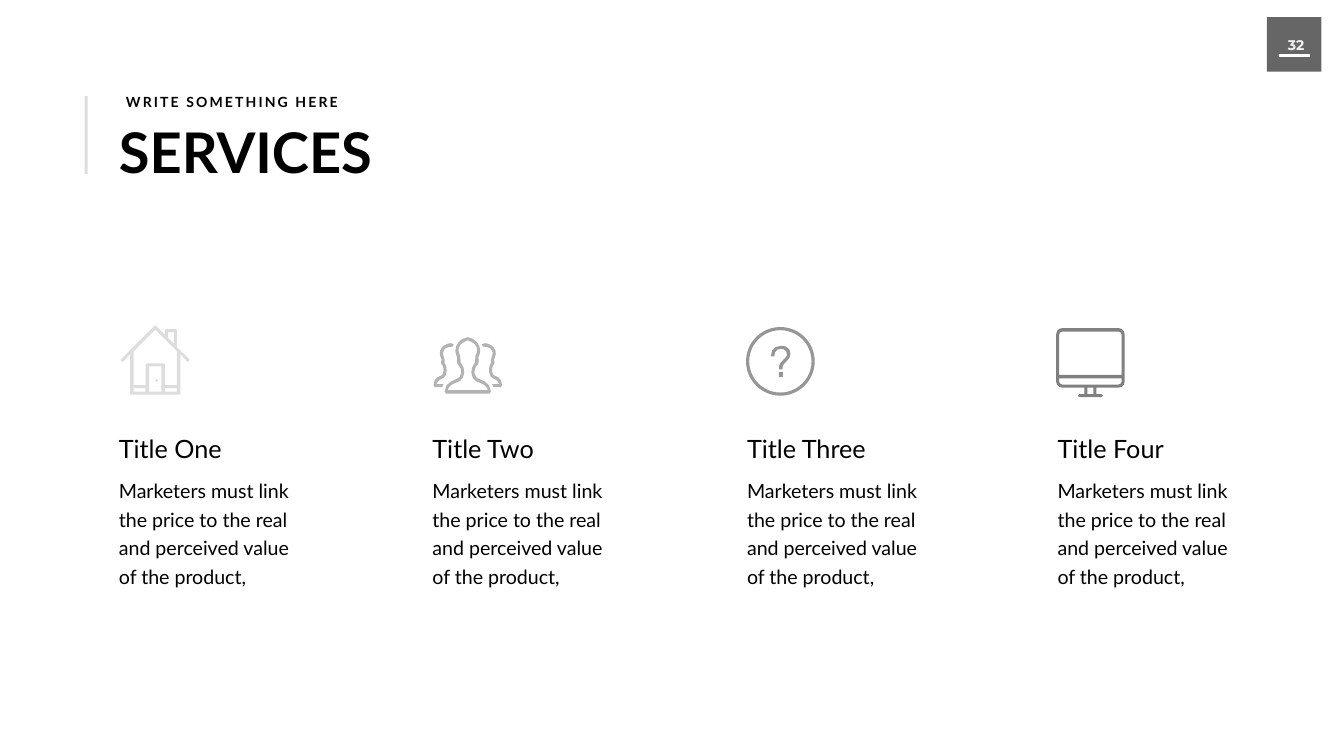
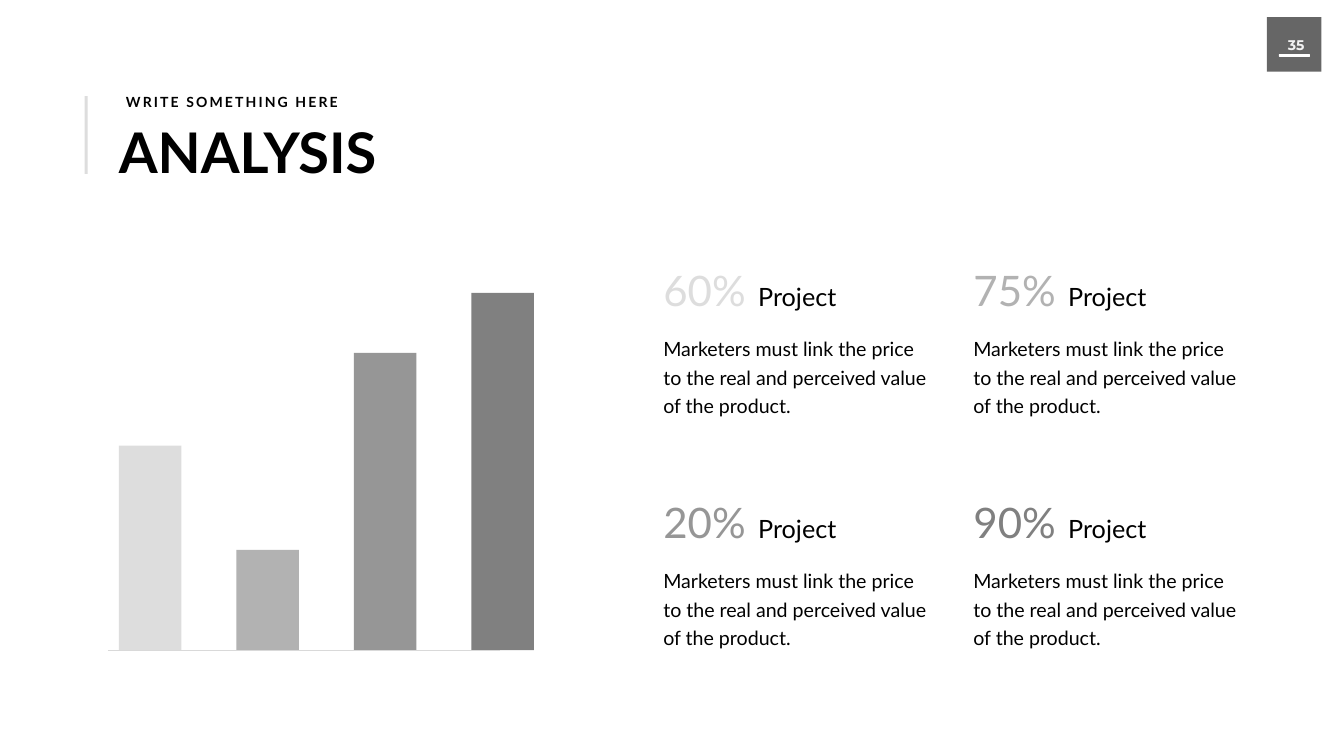
from lxml import etree
from pptx import Presentation
from pptx.dml.color import RGBColor
from pptx.enum.shapes import MSO_CONNECTOR as Connector, MSO_SHAPE as Shape
from pptx.enum.text import PP_ALIGN as Align
from pptx.oxml.ns import qn
from pptx.util import Inches, Pt

BLACK = RGBColor(0x00, 0x00, 0x00)
WHITE = RGBColor(0xFF, 0xFF, 0xFF)
OFF_WHITE = RGBColor(0xF2, 0xF2, 0xF2)
AXIS_GRAY = RGBColor(0xD9, 0xD9, 0xD9)
# Four grays, from light to dark
GRAYS = [RGBColor(tone, tone, tone) for tone in (0xDD, 0xB2, 0x96, 0x80)]


# Outline helpers: icon units are hundredths of an inch
def flatten(steps):
    """Turn line ends (x, y) and cubic curves (six numbers) into points."""
    points = []
    for step in steps:
        if len(step) == 2:
            points.append(step)
            continue
        (ax, ay), (bx, by, cx, cy, dx, dy) = points[-1], step
        span = max(abs(dx - ax), abs(dy - ay))
        pieces = 1 if span < 5 else 2 if span < 10 else 3
        for piece in range(1, pieces + 1):
            t = piece / pieces
            u = 1 - t
            weights = (u ** 3, 3 * u * u * t, 3 * u * t * t, t ** 3)
            points.append((
                sum(w * x for w, x in zip(weights, (ax, bx, cx, dx))),
                sum(w * y for w, y in zip(weights, (ay, by, cy, dy)))))
    return points


def box(left, top, right, bottom):
    return [(left, top), (right, top), (right, bottom), (left, bottom)]


def mirror(points, width=136):
    return [(width - x, y) for x, y in reversed(points)]


# Icons
HOUSE = [
    [(135, 66), (111, 43), (111, 9), (109, 7), (89, 7), (87, 9), (87, 18),
     (70, 1), (68, 0), (66, 1), (1, 66), (0, 69), (3, 72), (5, 71), (18, 57),
     (18, 135), (20, 137), (116, 137), (118, 135), (118, 57), (131, 71),
     (133, 72), (136, 69)],
    [(111, 118), (87, 118), (87, 77), (85, 75), (51, 75), (49, 77),
     (49, 118), (25, 118), (25, 51), (68, 8), (111, 51)],
    box(87, 124, 111, 131),
    box(56, 81, 80, 131),
    box(25, 124, 49, 131),
    [(93, 13), (105, 13), (105, 36), (93, 24)],
    [(71, 106), (74, 109), (71, 112), (68, 109)],
]

person_edge = flatten([
    (68, 0), (59, 3), (53, 6, 49, 9, 45, 18), (41, 27, 45, 36, 47, 40),
    (45, 50, 48, 54, 48, 54), (50, 56, 55, 60, 55, 70),
    (55, 82, 43, 84, 43, 84), (36, 87, 22, 92, 22, 108), (25, 112)])
person_inside = flatten([
    (28, 105), (30, 97, 37, 93, 45, 90), (51, 89, 61, 83, 61, 70),
    (61, 59, 56, 54, 54, 51), (53, 41), (53, 37), (51, 34, 48, 26, 50, 21),
    (54, 13, 56, 11, 62, 9), (68, 6)])
neighbour = flatten([
    (15, 83), (19, 82, 26, 78, 26, 67), (26, 57, 23, 53, 22, 51), (22, 45),
    (21, 41), (20, 38, 18, 33, 19, 29), (22, 22, 23, 22, 26, 21),
    (28, 20, 31, 19, 34, 19), (38, 19), (40, 14), (34, 12),
    (30, 12, 25, 14, 24, 15), (19, 17, 17, 19, 13, 27),
    (11, 33, 14, 40, 16, 44), (14, 51, 16, 54, 16, 54),
    (18, 56, 20, 59, 20, 67), (20, 76, 13, 77, 13, 77),
    (7, 79, 0, 84, 0, 96), (3, 99), (17, 99), (20, 93), (6, 93),
    (7, 88, 11, 85, 15, 83)])
PEOPLE = [
    person_edge + mirror(person_edge),
    person_inside + mirror(person_inside),
    neighbour,
    mirror(neighbour),
]

QUESTION = [
    box(65, 89, 73, 99),
    flatten([
        (49, 58), (49, 45, 57, 37, 70, 37), (81, 37, 88, 43, 88, 53),
        (88, 60, 84, 64, 78, 70), (73, 75, 72, 77, 72, 84), (65, 84),
        (65, 75, 67, 71, 73, 66), (79, 60, 81, 58, 81, 54),
        (81, 47, 76, 43, 69, 43), (60, 43, 56, 49, 56, 58)]),
]

MONITOR = [
    flatten([
        (124, 0), (12, 0), (5, 0, 0, 6, 0, 13), (0, 106),
        (0, 113, 5, 118, 12, 118), (56, 118), (56, 131), (46, 131),
        (43, 134), (46, 137), (90, 137), (93, 134), (90, 131), (80, 131),
        (80, 118), (124, 118), (131, 118, 136, 113, 136, 106), (136, 13),
        (136, 6, 131, 0, 124, 0)]),
    flatten([
        (130, 93), (6, 93), (6, 13), (6, 9, 9, 7, 12, 7), (124, 7),
        (127, 7, 130, 9, 130, 13)]),
    flatten([
        (130, 106), (130, 109, 127, 112, 124, 112), (12, 112),
        (9, 112, 6, 109, 6, 106), (6, 100), (130, 100)]),
    box(62, 118, 74, 131),
]


class Deck:
    """Holds the style and the slide being drawn."""

    def __init__(self):
        self.prs = Presentation()
        self.prs.slide_width = Inches(26.66)
        self.prs.slide_height = Inches(15)
        self.shapes = None

    def start_slide(self, page, title, title_width):
        self.shapes = self.prs.slides.add_slide(self.prs.slide_layouts[6]).shapes
        # Page number badge
        badge = self.rect(25.13, 0.34, 1.08, 1.08, BLACK)
        tint = badge.fill._xPr.find(".//" + qn("a:srgbClr"))
        etree.SubElement(tint, qn("a:alpha"), val="60000")
        self.text(25.28, 0.67, 0.86, 0.44, page, 20, OFF_WHITE, bold=True,
                  font="Montserrat", align=Align.CENTER, wrap=False)
        rule = self.rect(25.37, 1.08, 0.6, 0.04, WHITE)
        rule.line.color.rgb = WHITE
        rule.line.width = Pt(1)
        # Title block
        self.text(2.26, 2.29, title_width, 1.45, title, 80, bold=True, wrap=False)
        self.text(2.36, 1.81, 4.48, 0.44, "WRITE SOMETHING HERE", 20, bold=True,
                  align=Align.CENTER, wrap=False, tracking=3)
        self.rect(1.68, 1.91, 0.06, 1.54, GRAYS[0])

    def text(self, left, top, width, height, words, size, color=BLACK, bold=False,
             font="Lato", align=Align.LEFT, wrap=True, spacing=None, tracking=0):
        frame = self.shapes.add_textbox(
            Inches(left), Inches(top), Inches(width), Inches(height)).text_frame
        frame.word_wrap = wrap
        para = frame.paragraphs[0]
        para.text = words
        para.alignment = align
        if spacing:
            para.line_spacing = Pt(spacing)
        para.font.name = font
        para.font.size = Pt(size)
        para.font.bold = bold
        para.font.color.rgb = color
        if tracking:
            para.runs[0].font._element.set("spc", str(tracking * 100))

    def body(self, left, top, width, height, words):
        self.text(left, top, width, height, words, 28, spacing=40.8)

    def paint(self, shape, color):
        shape.shadow.inherit = False
        shape.fill.solid()
        shape.fill.fore_color.rgb = color
        shape.line.fill.background()
        return shape

    def rect(self, left, top, width, height, color):
        return self.paint(self.shapes.add_shape(
            Shape.RECTANGLE, Inches(left), Inches(top),
            Inches(width), Inches(height)), color)

    def ring(self, left, top, size, color, width):
        ring = self.shapes.add_shape(
            Shape.OVAL, Inches(left), Inches(top), Inches(size), Inches(size))
        ring.shadow.inherit = False
        ring.fill.background()
        ring.line.color.rgb = color
        ring.line.width = Pt(width)

    def icon(self, left, top, contours, color):
        unit = Inches(0.01)
        builder = None
        for contour in contours:
            first, *rest = [(x * unit, y * unit) for x, y in contour]
            if builder:
                builder.move_to(*first)
            else:
                builder = self.shapes.build_freeform(*first)
            builder.add_line_segments(rest, close=True)
        self.paint(builder.convert_to_shape(Inches(left), Inches(top)), color)

    def line(self, x1, y1, x2, y2, color, width):
        line = self.shapes.add_connector(
            Connector.STRAIGHT, Inches(x1), Inches(y1), Inches(x2), Inches(y2))
        line.line.color.rgb = color
        line.line.width = Pt(width)
        etree.SubElement(line._element.spPr, qn("a:effectLst"))


def services(deck):
    deck.start_slide("32", "SERVICES", 5.3)
    columns = [
        ("Title One", 2.26, HOUSE, 2.4, 6.46),
        ("Title Two", 8.48, PEOPLE, 8.6, 6.69),
        ("Title Three", 14.72, QUESTION, 14.8, 6.49),
        ("Title Four", 20.88, MONITOR, 20.95, 6.51),
    ]
    for (title, left, icon, icon_left, icon_top), gray in zip(columns, GRAYS):
        deck.icon(icon_left, icon_top, icon, gray)
        deck.text(left, 8.55, 3.6, 0.71, title, 36)
        deck.body(left, 9.36, 3.63, 2.34, "Marketers must link the price to the "
                  "real and perceived value of the product,")
    # Ring around the question mark
    deck.ring(14.83, 6.52, 1.3, GRAYS[2], 4.5)


def analysis(deck):
    deck.start_slide("35", "ANALYSIS", 5.5)
    # Projects: two by two
    projects = [("60%", 0, 0, 0), ("75%", 1, 0, 1), ("20%", 0, 1, 2), ("90%", 1, 1, 3)]
    for share, column, row, tone in projects:
        left, top = 13.06 + 6.15 * column, 5.2 + 4.6 * row
        deck.text(left, top, 1.85, 1.11, share, 60, GRAYS[tone], wrap=False)
        deck.text(left + 1.88, top + 0.33, 1.78, 0.71, "Project", 36, wrap=False)
        deck.body(left, top + 1.34, 5.5, 1.77, "Marketers must link the price to "
                  "the real and perceived value of the product.")
    # Bars on their base line
    base = 12.9
    for index, height in enumerate((4.06, 1.99, 5.9, 7.09)):
        deck.rect(2.36 + 2.33 * index, base - height, 1.24, height, GRAYS[index])
    deck.line(2.14, 12.91, 9.91, 12.91, AXIS_GRAY, 0.5)


def main():
    deck = Deck()
    services(deck)
    analysis(deck)
    deck.prs.save("out.pptx")


if __name__ == "__main__":
    main()
